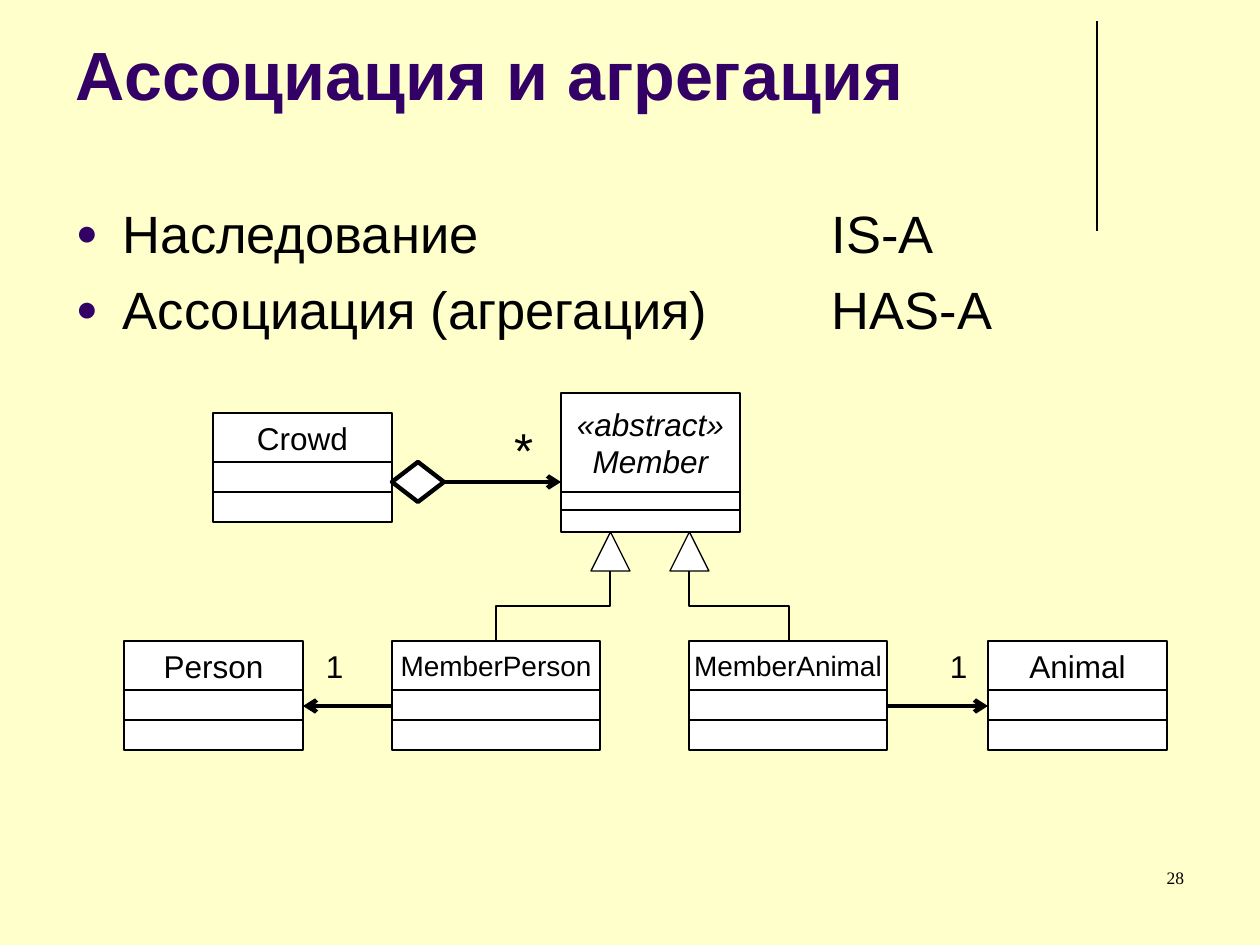
from dataclasses import dataclass

from lxml import etree
from pptx import Presentation
from pptx.dml.color import RGBColor
from pptx.enum.shapes import MSO_CONNECTOR, MSO_SHAPE
from pptx.enum.text import MSO_ANCHOR, PP_ALIGN
from pptx.oxml.ns import qn
from pptx.util import Emu, Pt

PX = 914400 / 126
STRAIGHT, ELBOW = MSO_CONNECTOR.STRAIGHT, MSO_CONNECTOR.ELBOW
RECT = MSO_SHAPE.RECTANGLE
DIAMOND, TRIANGLE = MSO_SHAPE.FLOWCHART_DECISION, MSO_SHAPE.FLOWCHART_EXTRACT
TOP, MIDDLE = MSO_ANCHOR.TOP, MSO_ANCHOR.MIDDLE
LEFT, CENTER, RIGHT = PP_ALIGN.LEFT, PP_ALIGN.CENTER, PP_ALIGN.RIGHT
PAPER, WHITE, BLACK, VIOLET = "FFFFCC", "FFFFFF", "000000", "330066"
THIN, THICK = 0.75, 2.5


@dataclass
class UmlClass:
    name: str
    left: int
    top: int
    width: int
    rows: tuple[int, ...] = (49, 30, 30)
    size: int = 18
    italic: bool = False


@dataclass
class Multiplicity:
    text: str
    left: int
    top: int
    width: int
    height: int
    size: int
    insets: tuple[int, int] = (13, 6)


@dataclass
class Association:
    start: int
    end: int
    y: int


CLASSES = [
    UmlClass("Crowd", 213, 413, 179),
    UmlClass("«abstract»\nMember", 561, 393, 179, (99, 18, 22), italic=True),
    UmlClass("MemberPerson", 392, 641, 208, size=16),
    UmlClass("MemberAnimal", 689, 641, 198, size=16),
    UmlClass("Person", 124, 641, 179),
    UmlClass("Animal", 988, 641, 179),
]
ASSOCIATIONS = [
    Association(444, 561, 482),
    Association(392, 303, 706),
    Association(888, 988, 706),
]
MULTIPLICITIES = [
    Multiplicity("*", 514, 419, 30, 59, 28, (0, 0)),
    Multiplicity("1", 313, 641, 39, 51, 18),
    Multiplicity("1", 937, 641, 39, 51, 18),
]
# Each inheritance: subclass centre, arrowhead centre
INHERITANCES = [(496, 610), (789, 689)]
SUBCLASS_TOP, MEMBER_BOTTOM, HEAD = 641, 532, 39
BODY_LINES = ["Наследование\tIS-A", "Ассоциация (агрегация)\tHAS-A"]


def px(value: float) -> Emu:
    return Emu(round(value * PX))


def color(value: str) -> RGBColor:
    return RGBColor.from_string(value)


def write(shape, text: str, size: float, align=LEFT, anchor=TOP, font="Arial",
          ink=BLACK, bold=False, italic=False, insets=(13, 6), wrap=True):
    frame = shape.text_frame
    frame.text = text
    frame.word_wrap = wrap
    frame.vertical_anchor = anchor
    frame.margin_left = frame.margin_right = px(insets[0])
    frame.margin_top = frame.margin_bottom = px(insets[1])
    for paragraph in frame.paragraphs:
        paragraph.alignment = align
        for run in paragraph.runs:
            run.font.name, run.font.size = font, Pt(size)
            run.font.bold, run.font.italic = bold, italic
            run.font.color.rgb = color(ink)
    return frame


def add_box(shapes, kind, left: int, top: int, width: int, height: int,
            fill=WHITE, weight=THIN):
    box = shapes.add_shape(kind, px(left), px(top), px(width), px(height))
    box.shadow.inherit = False
    box.fill.solid()
    box.fill.fore_color.rgb = color(fill)
    if weight:
        box.line.color.rgb = color(BLACK)
        box.line.width = Pt(weight)
    else:
        box.line.fill.background()
    return box


def add_line(shapes, x1: float, y1: float, x2: float, y2: float,
             kind=STRAIGHT, weight=THIN, arrow=False):
    line = shapes.add_connector(kind, px(x1), px(y1), px(x2), px(y2))
    line.line.color.rgb = color(BLACK)
    line.line.width = Pt(weight)
    if arrow:
        etree.SubElement(line.line._get_or_add_ln(), qn("a:tailEnd"), type="arrow")
    etree.SubElement(line._element.spPr, qn("a:effectLst"))
    return line


def add_upright_elbow(shapes, x1: int, y1: int, x2: int, y2: int):
    """Elbow that leaves and arrives vertically: a standard one turned by 270°."""
    middle_x, middle_y = (x1 + x2) / 2, (y1 + y2) / 2
    half_rise, half_run = (y1 - y2) / 2, (x2 - x1) / 2
    elbow = add_line(shapes, middle_x - half_rise, middle_y - half_run,
                     middle_x + half_rise, middle_y + half_run, ELBOW)
    elbow._element.spPr.find(qn("a:xfrm")).set("rot", str(270 * 60000))


def add_class(shapes, uml: UmlClass):
    group = shapes.add_group_shape()
    top = uml.top
    for index, height in enumerate(uml.rows):
        row = add_box(group.shapes, RECT, uml.left, top, uml.width, height)
        if index == 0:
            write(row, uml.name, uml.size, CENTER, MIDDLE,
                  italic=uml.italic, wrap=False)
        top += height


def add_bullet(paragraph, indent: int, tab: int):
    properties = paragraph._p.get_or_add_pPr()
    properties.set("marL", str(px(indent)))
    properties.set("indent", str(-px(indent)))
    bullet_color = etree.SubElement(properties, qn("a:buClr"))
    etree.SubElement(bullet_color, qn("a:srgbClr"), val=VIOLET)
    etree.SubElement(properties, qn("a:buSzPct"), val="70000")
    etree.SubElement(properties, qn("a:buFont"), typeface="Arial")
    etree.SubElement(properties, qn("a:buChar"), char="●")
    tabs = etree.SubElement(properties, qn("a:tabLst"))
    etree.SubElement(tabs, qn("a:tab"), pos=str(px(tab)), algn="l")


def add_text(shapes, left: int, top: int, width: int, height: int,
             text: str, size: float, **style):
    box = shapes.add_textbox(px(left), px(top), px(width), px(height))
    return write(box, text, size, **style)


def main():
    deck = Presentation()
    deck.slide_width, deck.slide_height = px(1260), px(945)
    slide = deck.slides.add_slide(deck.slide_layouts[6])
    slide.background.fill.solid()
    slide.background.fill.fore_color.rgb = color(PAPER)
    shapes = slide.shapes

    # Heading, rule and bullets
    add_line(shapes, 1097, 21, 1097, 231)
    add_text(shapes, 63, 16, 1040, 179, "Ассоциация и агрегация", 39,
             ink=VIOLET, bold=True, insets=(13, 16))
    body = add_text(shapes, 63, 195, 1134, 169, "\n".join(BODY_LINES), 30)
    for index, paragraph in enumerate(body.paragraphs):
        add_bullet(paragraph, indent=47, tab=756)
        if index:
            paragraph.space_before = Pt(7.5)

    # Class diagram
    for uml in CLASSES:
        add_class(shapes, uml)
    for subclass_x, head_x in INHERITANCES:
        add_box(shapes, TRIANGLE, head_x - HEAD // 2, MEMBER_BOTTOM, HEAD, HEAD)
        add_upright_elbow(shapes, subclass_x, SUBCLASS_TOP,
                          head_x, MEMBER_BOTTOM + HEAD)
    add_box(shapes, DIAMOND, 392, 462, 52, 40, weight=THICK)
    for link in ASSOCIATIONS:
        add_line(shapes, link.start, link.y, link.end, link.y,
                 weight=THICK, arrow=True)
    for label in MULTIPLICITIES:
        box = add_box(shapes, RECT, label.left, label.top, label.width,
                      label.height, fill=PAPER, weight=0)
        write(box, label.text, label.size, insets=label.insets)

    # Slide number
    add_text(shapes, 903, 861, 294, 63, "28", 10, align=RIGHT,
             font="Times New Roman")
    deck.save("out.pptx")


if __name__ == "__main__":
    main()
